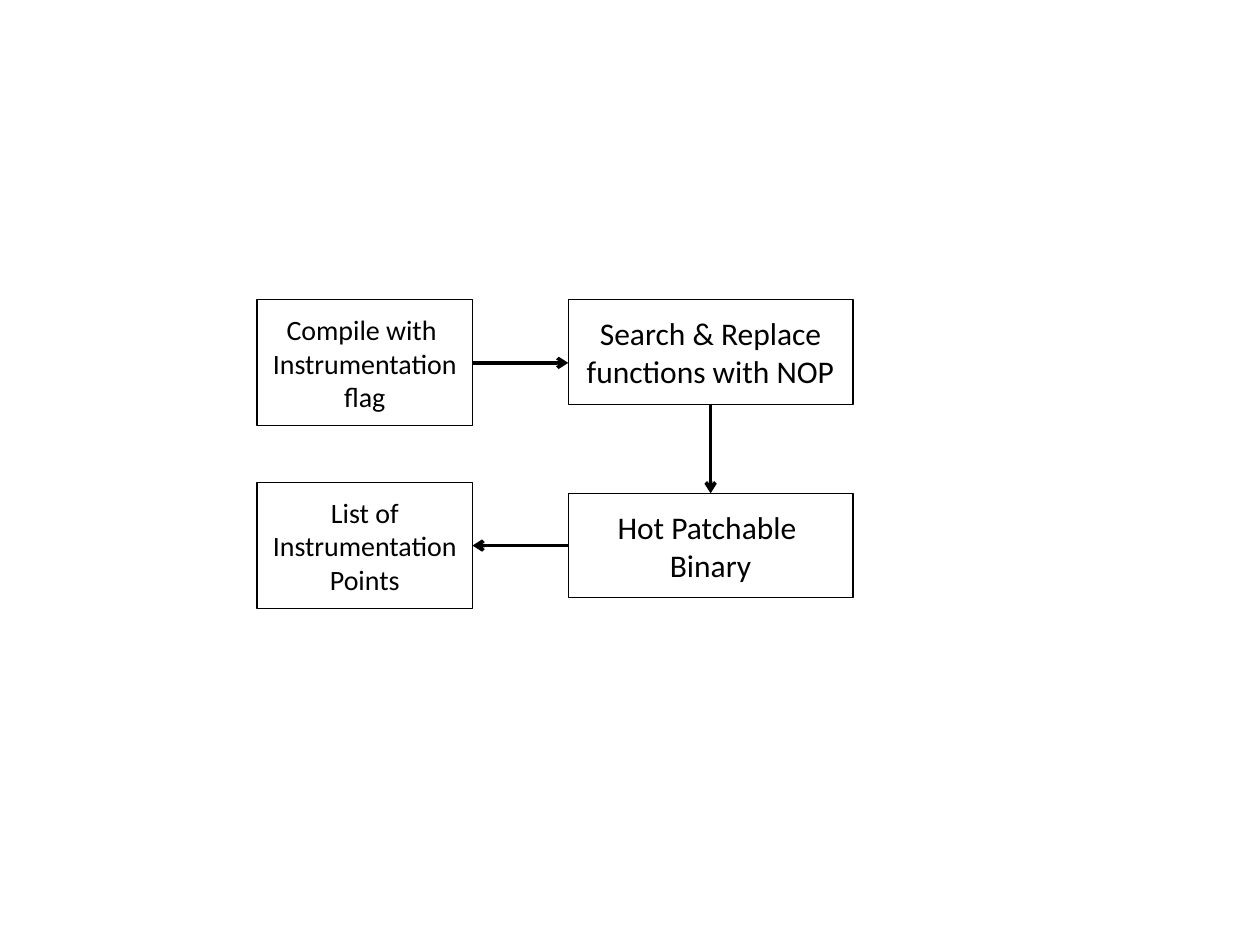
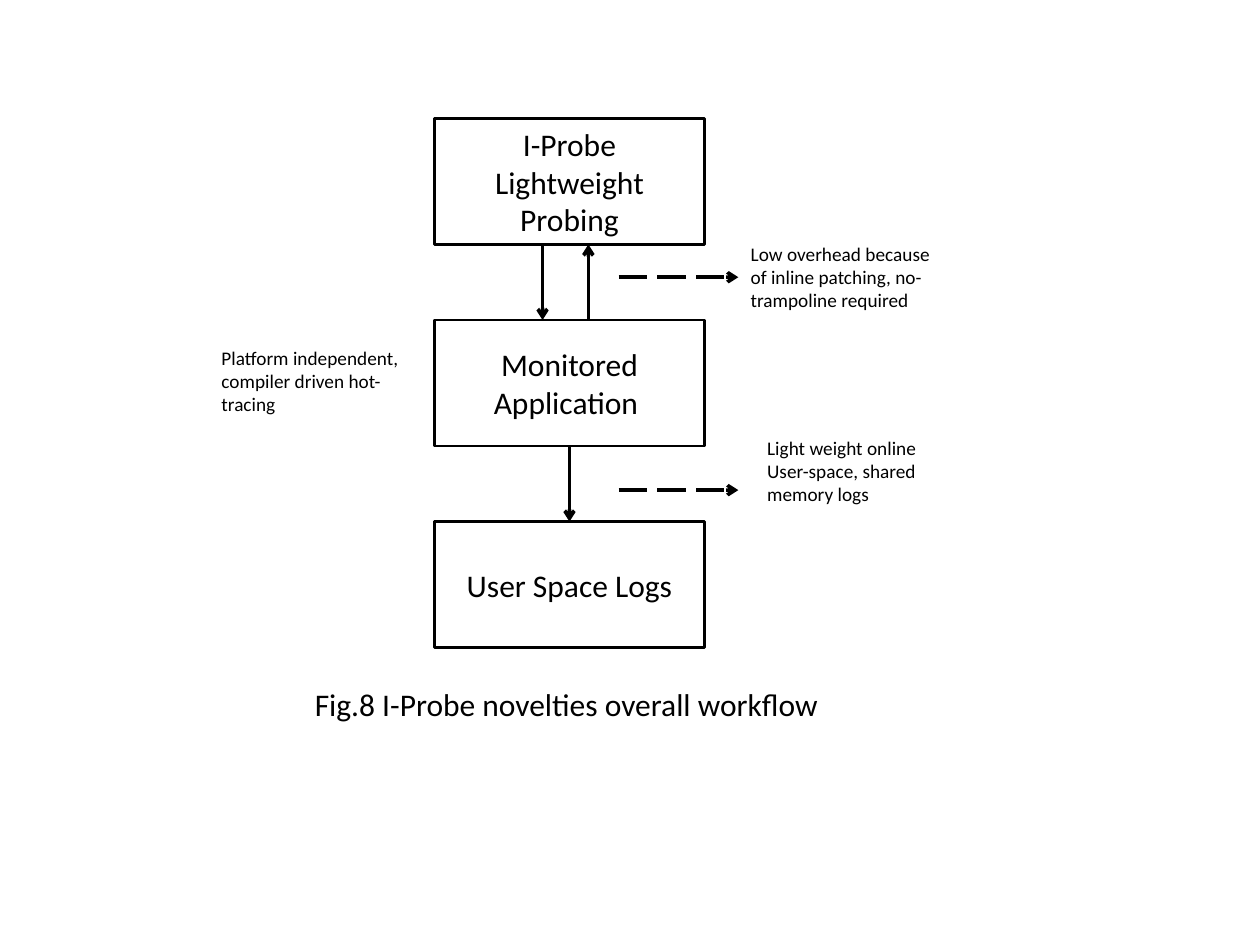
from pptx import Presentation
from pptx import util as u
from pptx.dml.color import RGBColor
from pptx.enum import dml, shapes, text
from pptx.oxml.ns import qn
from lxml import etree

INK = RGBColor(0, 0, 0)
PAPER = RGBColor(255, 255, 255)
FONT = "Calibri"
COLUMNS, ROWS = 100, 75
CELL = u.Inches(10) // COLUMNS


def cells(*counts):
    return [round(count * CELL) for count in counts]


def write(shape, lines, size, align):
    frame = shape.text_frame
    frame.text = "\n".join(lines)
    for para in frame.paragraphs:
        para.alignment = align
        for span in para.runs:
            span.font.name = FONT
            span.font.size = u.Pt(size)
            span.font.color.rgb = INK


def add_box(page, place, lines, size, weight):
    box = page.shapes.add_shape(shapes.MSO_SHAPE.RECTANGLE, *cells(*place))
    box.shadow.inherit = False
    box.fill.background()
    box.line.color.rgb = INK
    box.line.width = u.Pt(weight)
    box.text_frame.word_wrap = True
    box.text_frame.vertical_anchor = text.MSO_ANCHOR.MIDDLE
    write(box, lines, size, text.PP_ALIGN.CENTER)
    return box


def add_note(page, place, words, size=11, wrap=True):
    note = page.shapes.add_textbox(*cells(*place))
    note.text_frame.word_wrap = wrap
    note.text_frame.auto_size = text.MSO_AUTO_SIZE.SHAPE_TO_FIT_TEXT
    write(note, [words], size, text.PP_ALIGN.LEFT)
    return note


def add_arrow(page, start, end, dashed=False):
    arrow = page.shapes.add_connector(
        shapes.MSO_CONNECTOR.STRAIGHT, *cells(*start, *end))
    arrow.line.color.rgb = INK
    arrow.line.width = u.Pt(2)
    if dashed:
        arrow.line.dash_style = dml.MSO_LINE.LONG_DASH
    properties = arrow.line._get_or_add_ln()
    etree.SubElement(properties, qn("a:tailEnd"), type="arrow")
    etree.SubElement(properties.getparent(), qn("a:effectLst"))
    return arrow


def join(page, source, source_side, target, target_side):
    arrow = add_arrow(page, (0, 0), (0, 0))
    arrow.begin_connect(source, source_side)
    arrow.end_connect(target, target_side)


def draw_build_flow(page, region):
    left, top, width, height = region
    narrow, wide, tall, short = 17.1, 22.6, 10, 8.3
    right = left + width - wide
    low = top + height - tall
    compile_step = add_box(page, (left, top, narrow, tall),
                           ["Compile with ", "Instrumentation flag"], 16, 0.75)
    replace_step = add_box(page, (right, top, wide, short),
                           ["Search & Replace functions with NOP"], 18, 0.75)
    binary = add_box(page, (right, low + (tall - short) / 2, wide, short),
                     ["Hot Patchable ", "Binary"], 18, 0.75)
    points = add_box(page, (left, low, narrow, tall),
                     ["List of Instrumentation Points"], 16, 0.75)
    middle = top + tall / 2
    first = add_arrow(page, (left + narrow, middle), (right, middle))
    first.begin_connect(compile_step, 3)
    join(page, replace_step, 2, binary, 0)
    join(page, binary, 1, points, 3)


def draw_probe_stack(page, region):
    left, top, width, height = region
    tall = 10
    pitch = (height - tall) / 2
    labels = ["I-Probe Lightweight Probing", "Monitored Application ", "User Space Logs"]
    probe, application, logs = [
        add_box(page, (left, top + row * pitch, width, tall), [label], 18, 1.5)
        for row, label in enumerate(labels)]
    upper, lower = top + tall, top + pitch
    down, up = left + 0.4 * width, left + 0.57 * width
    add_arrow(page, (down, upper), (down, lower))
    add_arrow(page, (up, lower), (up, upper))
    join(page, application, 2, logs, 0)


def draw_remarks(page, region):
    left, top, width, height = region
    pointer_start, pointer_end = left + 32.5, left + 42
    for row in (top + 3.3, top + 20.2):
        add_arrow(page, (pointer_start, row), (pointer_end, row), dashed=True)
    add_note(page, (pointer_end, top, 16.4, 6.6),
             "Low overhead because of inline patching, no-trampoline required")
    logging = add_note(page, (left + width - 17.2, top + 15.4, 17.2, 6.6),
                       "Light weight online User-space, shared memory logs")
    logging.fill.solid()
    logging.fill.fore_color.rgb = PAPER
    add_note(page, (left, top + 8.3, 16.4, 6.6),
             "Platform independent, compiler driven hot-tracing")
    add_note(page, (left + 7.4, top + height - 4, 42.5, 4),
             "Fig.8 I-Probe novelties overall workflow", size=18, wrap=False)


def main():
    deck = Presentation()
    deck.slide_width, deck.slide_height = cells(COLUMNS, ROWS)
    blank = deck.slide_layouts[6]
    draw_build_flow(deck.slides.add_slide(blank), (20.4, 23.8, 47.3, 24.5))
    workflow = deck.slides.add_slide(blank)
    draw_probe_stack(workflow, (34.5, 9.4, 21.4, 42))
    draw_remarks(workflow, (16.6, 18.7, 60.5, 39.2))
    deck.save("out.pptx")


if __name__ == "__main__":
    main()
